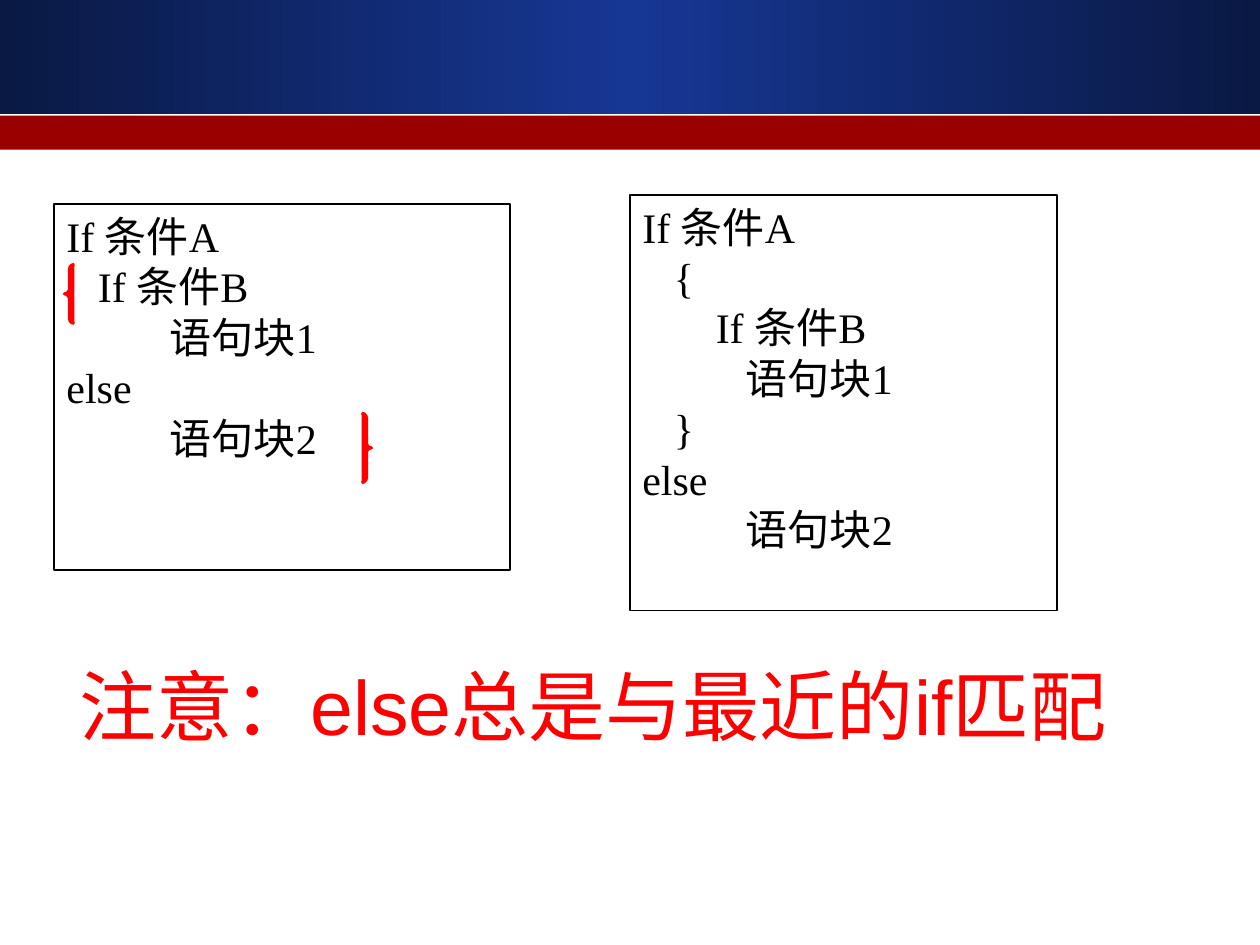
from pptx import Presentation
from pptx.dml.color import RGBColor
from pptx.enum.shapes import MSO_SHAPE as Kind
from pptx.enum.text import MSO_ANCHOR as Anchor, PP_ALIGN as Align
from pptx.util import Cm, Pt

NAVY = RGBColor(0x0A, 0x19, 0x44)
BLUE = RGBColor(0x16, 0x37, 0x94)
MAROON = RGBColor(0x99, 0x00, 0x00)
RED = RGBColor(0xFF, 0x00, 0x00)
BLACK = RGBColor(0x00, 0x00, 0x00)

deck = Presentation()
deck.slide_width, deck.slide_height = Cm(25.4), Cm(19.05)
slide = deck.slides.add_slide(deck.slide_layouts[6])


def draw(kind, left, top, width, height, fill=None, line=None, weight=1):
    shape = slide.shapes.add_shape(kind, Cm(left), Cm(top), Cm(width), Cm(height))
    shape.shadow.inherit = False
    if fill is None:
        shape.fill.background()
    else:
        shape.fill.solid()
        shape.fill.fore_color.rgb = fill
    if line is None:
        shape.line.fill.background()
    else:
        shape.line.color.rgb = line
        shape.line.width = Pt(weight)
    return shape


def style(para, face, size, color):
    para.alignment = Align.LEFT
    para.font.name = face
    para.font.size = Pt(size)
    para.font.color.rgb = color


# Header: blue band, dark at both ends, over a red stripe
band = draw(Kind.RECTANGLE, 0, 0, 25.4, 2.31)
band.fill.gradient()
band.fill.gradient_angle = 0
stops = band.fill.gradient_stops
stops[0].color.rgb, stops[0].position = NAVY, 0
stops[1].color.rgb, stops[1].position = BLUE, 0.5
grad = band.fill._fill._gradFill.gsLst
last = grad.add_gs() if hasattr(grad, "add_gs") else None
if last is None:
    from copy import deepcopy
    grad.append(deepcopy(grad[0]))
end = band.fill.gradient_stops[2]
end.color.rgb, end.position = NAVY, 1
draw(Kind.RECTANGLE, 0, 2.33, 25.4, 0.69, MAROON)

# Code boxes: without and with braces
codes = [
    (1.09, 4.12, 9.2, 7.37, """If 条件A
   If 条件B
           语句块1
else
           语句块2"""),
    (12.7, 3.93, 8.61, 8.38, """If 条件A
   {
       If 条件B
           语句块1
   }
else
           语句块2"""),
]
for left, top, width, height, code in codes:
    frame = draw(Kind.RECTANGLE, left, top, width, height, line=BLACK).text_frame
    frame.vertical_anchor = Anchor.TOP
    frame.word_wrap = True
    frame.text = code
    for para in frame.paragraphs:
        style(para, "Times New Roman", 24, BLACK)

# Rule to remember
note = slide.shapes.add_textbox(Cm(1.35), Cm(13.51), Cm(22.71), Cm(1.75)).text_frame
note.word_wrap = False
note.text = "注意：else总是与最近的if匹配"
note.paragraphs[0].line_spacing = 0.8
style(note.paragraphs[0], "Arial", 44, RED)

# Red braces on the left box
for kind, left, top, height in [
    (Kind.LEFT_BRACE, 1.3, 5.33, 1.19),
    (Kind.RIGHT_BRACE, 7.29, 8.33, 1.4),
]:
    brace = draw(kind, left, top, 0.2, height, RED, RED, 1.75)
    brace.adjustments[0] = 0.5

deck.save("out.pptx")
